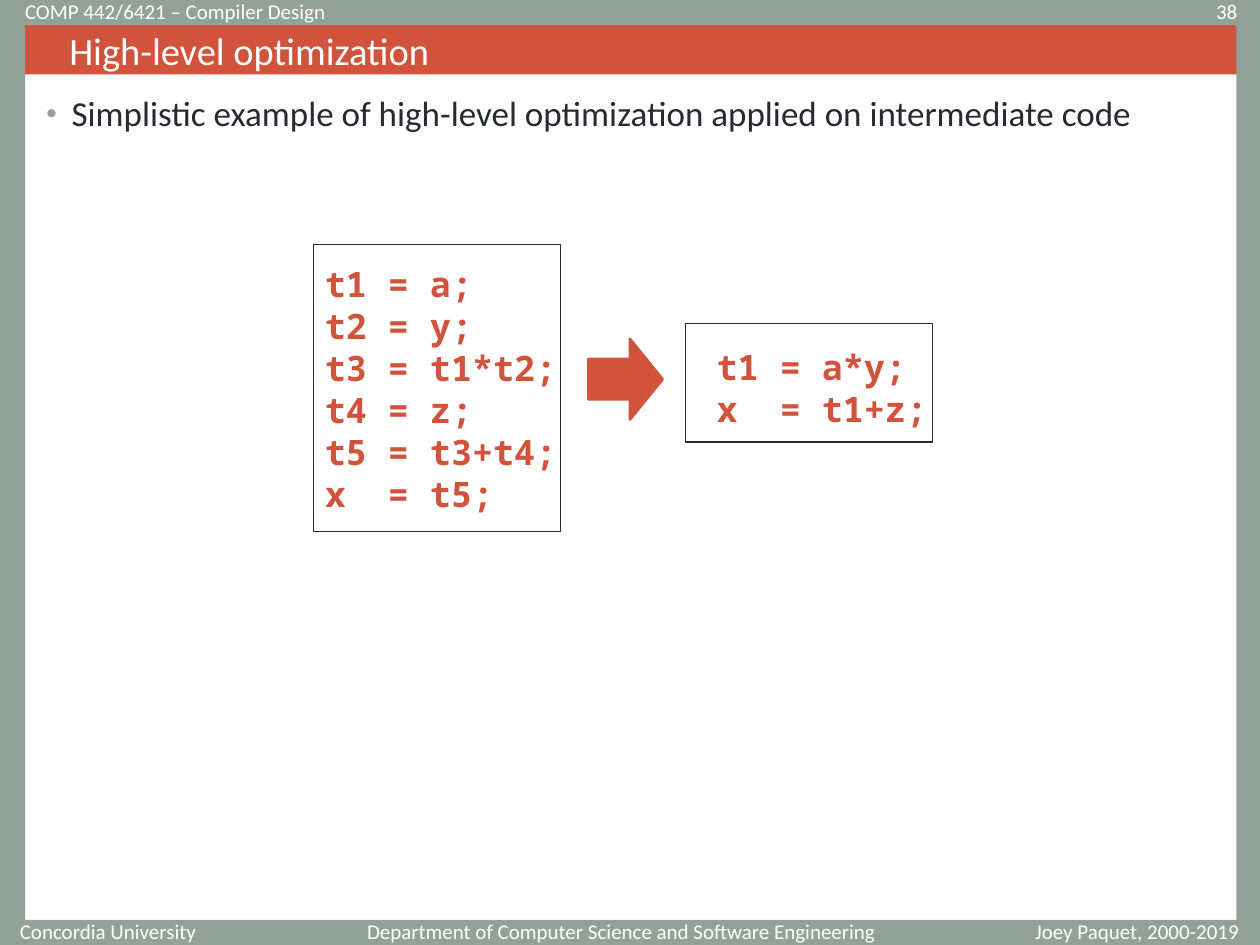
"""Build the slide on high-level optimization of intermediate code."""
from lxml.etree import SubElement
from pptx import Presentation
from pptx.dml.color import RGBColor
from pptx.enum.shapes import MSO_SHAPE as Shape
from pptx.enum.text import MSO_ANCHOR as Anchor, MSO_AUTO_SIZE as Fit, PP_ALIGN as Align
from pptx.oxml.ns import qn
from pptx.util import Pt

SAGE, RED, INK, WHITE = "93A299", "D2533C", "292934", "FFFFFF"
hue = RGBColor.from_string


def draw(kind, area, fill=None, line=None, width=0.75):
    shape = slide.shapes.add_shape(kind, *map(Pt, area))
    shape.shadow.inherit = False
    if fill:
        shape.fill.solid()
        shape.fill.fore_color.rgb = hue(fill)
    else:
        shape.fill.background()
    if line:
        shape.line.color.rgb = hue(line)
        shape.line.width = Pt(width)
    else:
        shape.line.fill.background()
    return shape


def write(box, text, size, color, face="Calibri", bold=False, align=Align.LEFT,
          anchor=Anchor.MIDDLE, wrap=True):
    frame = box.text_frame
    frame.text = text
    frame.word_wrap = wrap
    frame.auto_size = Fit.NONE
    frame.vertical_anchor = anchor
    for para in frame.paragraphs:
        para.alignment = align
        for run in para.runs:
            font = run.font
            font.name, font.size, font.bold = face, Pt(size), bold
            font.color.rgb = hue(color)
    return frame


deck = Presentation()
deck.slide_width, deck.slide_height = Pt(720), Pt(540)
slide = deck.slides.add_slide(deck.slide_layouts[5])

for area in [(0, 0, 720, 14.4), (0, 525.6, 720, 14.4),
             (0, 0, 14.4, 535.7), (706.5, 13, 13.5, 527)]:
    draw(Shape.RECTANGLE, area, SAGE)

title = slide.shapes.title
title.left, title.top, title.width, title.height = map(Pt, (14.4, 14.4, 692.6, 28.1))
title.fill.solid()
title.fill.fore_color.rgb = hue(RED)
write(title, "High-level optimization", 22, WHITE).margin_left = Pt(25.2)

for text, left, top, width, align in [
    ("COMP 442/6421 – Compiler Design", 7.2, 2.2, 403, Align.LEFT),
    ("38", 630, 2.2, 84.2, Align.RIGHT),
    ("Concordia University", 2.2, 527.8, 117, Align.RIGHT),
    ("Department of Computer Science and Software Engineering", 201.6, 527.8, 306, Align.RIGHT),
    ("Joey Paquet, 2000-2019", 575.3, 527.8, 149, Align.CENTER),
]:
    box = slide.shapes.add_textbox(Pt(left), Pt(top), Pt(width), Pt(8.6))
    write(box, text, 12, WHITE, align=align)

body = slide.shapes.add_textbox(Pt(19.4), Pt(49), Pt(680.4), Pt(470.9))
frame = write(body, "Simplistic example of high-level optimization applied on intermediate code",
              20, INK, anchor=Anchor.TOP)
props = frame.paragraphs[0]._p.get_or_add_pPr()
props.set("marL", str(Pt(14.4)))
props.set("indent", str(Pt(-14.4)))
SubElement(SubElement(props, qn("a:buClr")), qn("a:srgbClr"), val=SAGE)
SubElement(props, qn("a:buSzPct"), val="85000")
SubElement(props, qn("a:buFont"), typeface="Arial")
SubElement(props, qn("a:buChar"), char="•")

before = "t1 = a;\nt2 = y;\nt3 = t1*t2;\nt4 = z;\nt5 = t3+t4;\nx  = t5;"
after = "t1 = a*y;\nx  = t1+z;"
for code, area, edge in [
    (before, (178.6, 146.2, 146.9, 151.2), (179.3, 139.7, 141.1, 164.2)),
    (after, (402.5, 193.7, 134.6, 55.4), (391.7, 185, 141.1, 67.7)),
]:
    box = slide.shapes.add_textbox(*map(Pt, area))
    write(box, code, 20, RED, "Noto Sans Mono", True, anchor=Anchor.TOP, wrap=False)
    draw(Shape.RECTANGLE, edge, line=INK)

arrow = draw(Shape.RIGHT_ARROW, (336.2, 193.7, 42.5, 46.1), RED, RED, 1.5)
arrow.adjustments[0], arrow.adjustments[1] = 0.5, 0.44

deck.save("out.pptx")
